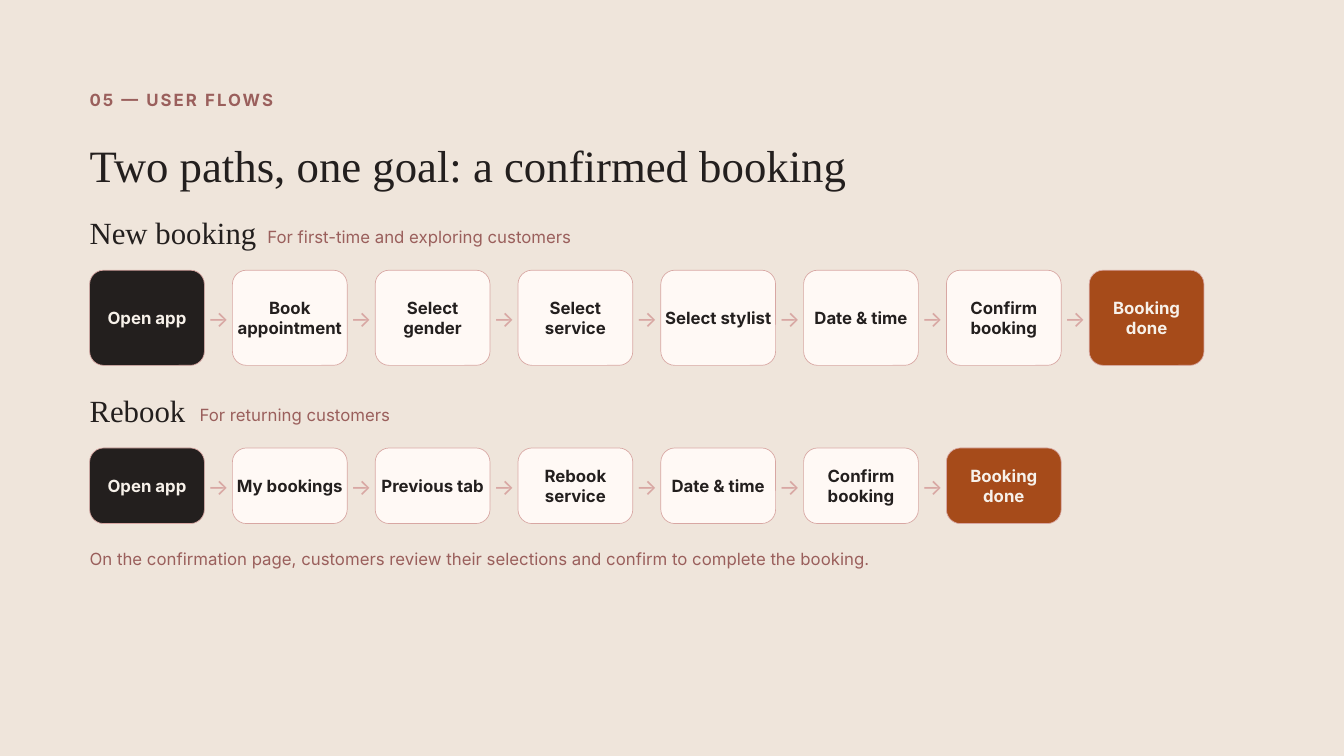
from pptx import Presentation
from pptx import util as u
from pptx.dml.color import RGBColor
from pptx.enum import shapes, text

PX = 9525  # EMU in one px, 96 px to the inch
SANS, SERIF = "Inter", "Times New Roman"
SAND, INK, ROSE = "EFE5DB", "231F1E", "9A5F5C"
PINK, CREAM, RUST, PALE = "D8A7A3", "FFF9F5", "A64B1A", "F7F1EA"

LEFT, WIDE = 128, 1714
BOX, STEP, CURVE = 164, 204, 20

FLOWS = [
    dict(name="New booking", note="For first-time and exploring customers",
         top=297, span=254, tall=136,
         steps=["Open app", "Book appointment", "Select gender", "Select service",
                "Select stylist", "Date & time", "Confirm\nbooking", "Booking done"]),
    dict(name="Rebook", note="For returning customers",
         top=551, span=157, tall=108,
         steps=["Open app", "My bookings", "Previous tab", "Rebook service",
                "Date & time", "Confirm booking", "Booking done"]),
]


def rgb(code):
    return RGBColor.from_string(code)


class Deck:
    def __init__(self):
        self.prs = Presentation()
        self.prs.slide_width = 1920 * PX
        self.prs.slide_height = 1080 * PX
        self.slide = self.prs.slides.add_slide(self.prs.slide_layouts[6])
        fill = self.slide.background.fill
        fill.solid()
        fill.fore_color.rgb = rgb(SAND)

    def letter(self, shape, words, size, lead, color, font=SANS, bold=False,
               center=False, track=0):
        """Fill a shape with text, one paragraph a line; lead is the line height in points."""
        frame = shape.text_frame
        frame.word_wrap = True
        frame.margin_left = frame.margin_right = 0
        frame.margin_top = frame.margin_bottom = 0
        for i, line in enumerate(words.split("\n")):
            para = frame.add_paragraph() if i else frame.paragraphs[0]
            para.alignment = text.PP_ALIGN.CENTER if center else text.PP_ALIGN.LEFT
            para.line_spacing = u.Pt(lead)
            run = para.add_run()
            run.text = line
            run.font.name = font
            run.font.size = u.Pt(size)
            run.font.bold = bold
            run.font.color.rgb = rgb(color)
            if track:
                run._r.get_or_add_rPr().set("spc", str(track))

    def label(self, x, y, w, h, words, size=18, lead=25.2, color=ROSE, **style):
        area = self.slide.shapes.add_textbox(x * PX, y * PX, w * PX, h * PX)
        self.letter(area, words, size, lead, color, **style)

    def box(self, x, y, h, words, fill, color):
        card = self.slide.shapes.add_shape(
            shapes.MSO_SHAPE.ROUNDED_RECTANGLE, x * PX, y * PX, BOX * PX, h * PX)
        card.adjustments[0] = CURVE / min(BOX, h)
        card.shadow.inherit = False
        card.fill.solid()
        card.fill.fore_color.rgb = rgb(fill)
        card.line.color.rgb = rgb(PINK)
        card.line.width = u.Pt(0.75)
        card.text_frame.vertical_anchor = text.MSO_ANCHOR.MIDDLE
        self.letter(card, words, 18, 21.6, color, bold=True, center=True)

    def flow(self, name, note, top, span, tall, steps):
        self.label(LEFT, top, span, 73, name, 33, 46.2, INK, font=SERIF)
        self.label(LEFT + span, top + 22, 530, 41, note)
        row, last = top + 89, len(steps) - 1
        for i, step in enumerate(steps):
            x = LEFT + i * STEP
            fill, color = {0: (INK, PALE), last: (RUST, PALE)}.get(i, (CREAM, INK))
            self.box(x, row, tall, step, fill, color)
            if i < last:
                self.label(x + BOX - 4, row + tall // 2 - 24, 48, 42, "→",
                           24, 33.6, PINK, center=True)


def main():
    deck = Deck()
    deck.label(LEFT, 124, WIDE, 41, "05 — USER FLOWS", bold=True, track=220)
    deck.label(LEFT, 203, WIDE, 69, "Two paths, one goal: a confirmed booking",
               48, 52.8, INK, font=SERIF)
    for flow in FLOWS:
        deck.flow(**flow)
    deck.label(LEFT, 779, WIDE, 41,
               "On the confirmation page, customers review their selections "
               "and confirm to complete the booking.")
    deck.prs.save("out.pptx")


if __name__ == "__main__":
    main()
